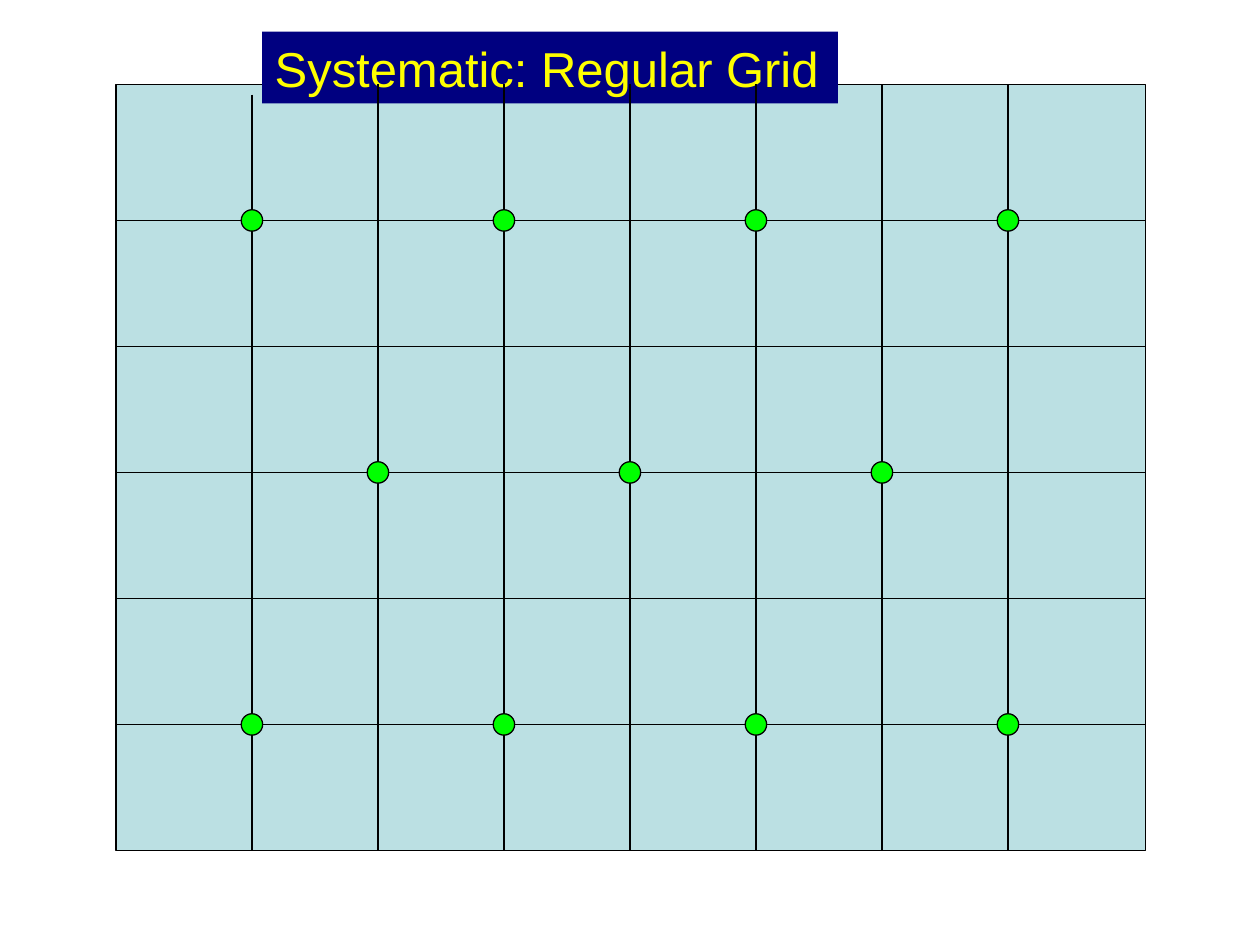
from lxml.etree import SubElement
from pptx import Presentation
from pptx.dml.color import RGBColor
from pptx.enum.shapes import MSO_CONNECTOR, MSO_SHAPE
from pptx.enum.text import MSO_ANCHOR, MSO_AUTO_SIZE, PP_ALIGN
from pptx.oxml.ns import qn
from pptx.util import Inches, Pt

BLACK = RGBColor(0x00, 0x00, 0x00)
PALE_BLUE = RGBColor(0xBB, 0xE0, 0xE3)
NAVY = RGBColor(0x00, 0x00, 0x80)
YELLOW = RGBColor(0xFF, 0xFF, 0x00)
GREEN = RGBColor(0x00, 0xFF, 0x00)

FIELD_BOX = (0.92, 0.67, 8.17, 6.08)
TITLE_BOX = (2.08, 0.25, 4.57, 0.57)
CELL = 1
FIRST_COLUMN, FIRST_ROW = 2, 1.75
COLUMNS, ROWS = 7, 5
FIRST_COLUMN_TOP = 0.75
DOT_SIZE = 0.17
SAMPLES = {0: range(0, COLUMNS, 2), 2: range(1, COLUMNS, 2), 4: range(0, COLUMNS, 2)}


def set_values(target, values):
    for name, value in values.items():
        setattr(target, name, value)


def outline(line):
    line.color.rgb = BLACK
    line.width = Pt(0.75)


def add_outlined_shape(shapes, kind, box, color):
    shape = shapes.add_shape(kind, *map(Inches, box))
    shape.shadow.inherit = False
    shape.fill.solid()
    shape.fill.fore_color.rgb = color
    outline(shape.line)
    return shape


def add_grid_line(page, start, end):
    points = map(Inches, (*start, *end))
    line = page.shapes.add_connector(MSO_CONNECTOR.STRAIGHT, *points)
    outline(line.line)
    SubElement(line._element.spPr, qn("a:effectLst"))


def place_title(page, box):
    title = page.shapes.title
    set_values(title, dict(zip(("left", "top", "width", "height"), map(Inches, box))))
    title.fill.solid()
    title.fill.fore_color.rgb = NAVY
    frame = title.text_frame
    frame.text = "Systematic: Regular Grid"
    set_values(frame, {
        "auto_size": MSO_AUTO_SIZE.NONE,
        "word_wrap": False,
        "vertical_anchor": MSO_ANCHOR.MIDDLE,
    })
    para = frame.paragraphs[0]
    para.alignment = PP_ALIGN.LEFT
    span = para.runs[0]
    set_values(span.font, {"name": "Arial", "size": Pt(28)})
    span.font.color.rgb = YELLOW


def place_field(page, box):
    field = add_outlined_shape(page.shapes, MSO_SHAPE.RECTANGLE, box, PALE_BLUE)
    page.shapes.title._element.addprevious(field._element)


def place_grid(page, box):
    left, top, width, height = box
    for row in reversed(range(ROWS)):
        y = FIRST_ROW + row * CELL
        add_grid_line(page, (left, y), (left + width, y))
    for column in range(COLUMNS):
        x = FIRST_COLUMN + column * CELL
        line_top = top if column else FIRST_COLUMN_TOP
        add_grid_line(page, (x, line_top), (x, top + height))


def place_samples(page):
    group = page.shapes.add_group_shape()
    for row, columns in SAMPLES.items():
        for column in columns:
            x = FIRST_COLUMN + column * CELL - DOT_SIZE / 2
            y = FIRST_ROW + row * CELL - DOT_SIZE / 2
            dot_box = (x, y, DOT_SIZE, DOT_SIZE)
            add_outlined_shape(group.shapes, MSO_SHAPE.OVAL, dot_box, GREEN)


def main():
    deck = Presentation()
    set_values(deck, {"slide_width": Inches(10), "slide_height": Inches(7.5)})
    page = deck.slides.add_slide(deck.slide_layouts.get_by_name("Title Only"))
    place_title(page, TITLE_BOX)
    place_field(page, FIELD_BOX)
    place_grid(page, FIELD_BOX)
    place_samples(page)
    deck.save("out.pptx")


if __name__ == "__main__":
    main()
